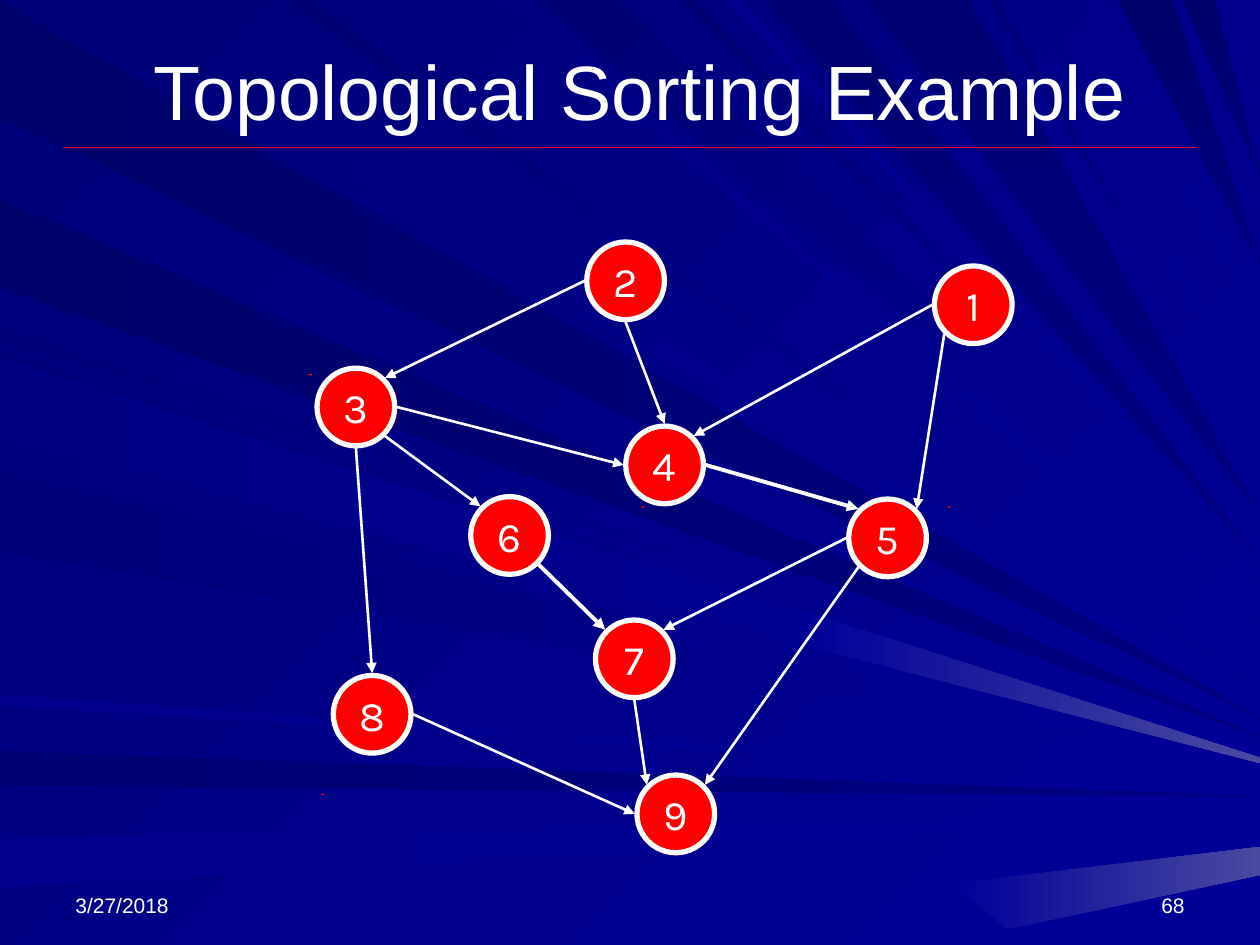
from math import cos, radians, sin

from lxml.etree import SubElement
from pptx import Presentation
from pptx.dml.color import RGBColor
from pptx.enum.shapes import MSO_CONNECTOR, MSO_SHAPE
from pptx.enum.text import MSO_ANCHOR, PP_ALIGN
from pptx.oxml.ns import qn
from pptx.util import Pt

COLORS = {"white": "FFFFFF", "node": "FF0000", "rule": "EF0129",
          "night": "00006B", "deep": "000073", "dark": "000078", "navy": "000080",
          "mid": "000085", "soft": "00008C", "blue": "000099", "haze": "4A4AA1"}


def write(box, text, size, font="Arial", align=PP_ALIGN.LEFT, anchor=MSO_ANCHOR.MIDDLE, wrap=True):
    frame = box.text_frame
    frame.word_wrap = wrap
    frame.vertical_anchor = anchor
    para = frame.paragraphs[0]
    para.alignment = align
    span = para.add_run()
    span.text = text
    span.font.size = Pt(size)
    span.font.name = font
    span.font.color.rgb = RGBColor.from_string(COLORS["white"])


def shade(fill, start, end, angle=0):
    fill.gradient()
    fill.gradient_angle = (360 - angle) % 360
    for stop, color in zip(fill.gradient_stops, (start, end)):
        stop.color.rgb = RGBColor.from_string(COLORS[color])


deck = Presentation()
WIDE, HIGH = 720, 540
deck.slide_width, deck.slide_height = Pt(WIDE), Pt(HIGH)
page = deck.slides.add_slide(deck.slide_layouts[6])
shapes = page.shapes
shade(page.background.fill, "dark", "blue", 45)

# Background rays: each spans two places on one edge and narrows to a tip on the right edge
rays = [
    ("left", 1, 67, 410, "night", "navy"),
    ("top", 19, 73, 405, "dark", "blue"),
    ("left", 429, 449, 455, "deep", "navy"),
    ("left", 479, 507, 466, "soft", "blue"),
    ("left", 186, 194, 424, "dark", "blue"),
    ("left", 114, 164, 421, "night", "navy"),
    ("top", 287, 300, 373, "mid", "blue"),
    ("top", 307, 354, 355, "deep", "blue"),
    ("top", 389, 397, 333, "deep", "blue"),
    ("top", 436, 476, 321, "deep", "navy"),
    ("top", 639, 670, 152, "night", "navy"),
    ("top", 676, 694, 101, "night", "navy"),
    ("left", 200, 246, 431, "dark", "blue"),
    ("left", 269, 315, 436, "dark", "blue"),
    ("left", 397, 403, 448, "soft", "blue"),
    ("top", 162, 178, 396, "deep", "blue"),
    ("top", 415, 423, 327, "soft", "blue"),
    ("top", 494, 554, 295, "deep", "navy"),
    ("top", 565, 570, 257, "dark", "blue"),
    ("top", 587, 593, 242, "mid", "blue"),
    ("top", 623, 628, 183, "soft", "blue"),
    ("left", 204, 250, 435, "mid", "blue"),
]
patches = []
for edge, near, far, tip, start, end in rays:
    if edge == "left":
        patches.append(([(0, near), (0, far), (WIDE, tip)], start, end, 0))
    else:
        angle = 90 if end == "navy" else 45
        patches.append(([(near, 0), (far, 0), (WIDE, tip)], start, end, angle))

# Two lighter glints at the lower right
patches.append(([(459, 349), (456, 368), (WIDE, 436), (WIDE, 433)], "blue", "haze", 0))
patches.append(([(544, 505), (576, 531), (WIDE, 500), (WIDE, 484)], "blue", "haze", 0))

for corners, start, end, angle in patches:
    points = [(Pt(x), Pt(y)) for x, y in corners]
    builder = shapes.build_freeform(*points[0])
    builder.add_line_segments(points[1:], close=True)
    patch = builder.convert_to_shape()
    patch.shadow.inherit = False
    patch.line.fill.background()
    shade(patch.fill, start, end, angle)

# Title, date and page number
labels = [
    ("Topological Sorting Example ", 44, PP_ALIGN.CENTER, MSO_ANCHOR.MIDDLE, (48, 6, 648, 90)),
    ("3/27/2018", 12, PP_ALIGN.LEFT, MSO_ANCHOR.BOTTOM, (36, 492, 168, 36)),
    ("68", 12, PP_ALIGN.RIGHT, MSO_ANCHOR.BOTTOM, (516, 492, 168, 36)),
]
for text, size, align, anchor, place in labels:
    box = shapes.add_textbox(*map(Pt, place))
    write(box, text, size, align=align, anchor=anchor)

# Small red marks
for left, top in [(176.4, 213.8), (366.5, 289.4), (541.4, 289.4), (183.6, 453.6)]:
    mark = shapes.add_shape(MSO_SHAPE.RECTANGLE, Pt(left), Pt(top), Pt(1.8), Pt(0.7))
    mark.shadow.inherit = False
    mark.line.fill.background()
    mark.fill.solid()
    mark.fill.fore_color.rgb = RGBColor.from_string(COLORS["node"])

# Graph nodes: number and centre
SIZE = 44.4
nodes = {"2": (357.5, 160.5), "7": (362.5, 376.5), "4": (379.8, 265.7),
         "8": (212.7, 408.2), "5": (507.2, 307.4), "6": (291.2, 306),
         "1": (556.2, 174.2), "3": (203.4, 232.6), "9": (386.2, 465.1)}
for number, (x, y) in nodes.items():
    node = shapes.add_shape(MSO_SHAPE.OVAL, Pt(x - SIZE / 2), Pt(y - SIZE / 2), Pt(SIZE), Pt(SIZE))
    node.shadow.inherit = False
    node.fill.solid()
    node.fill.fore_color.rgb = RGBColor.from_string(COLORS["node"])
    node.line.color.rgb = RGBColor.from_string(COLORS["white"])
    node.line.width = Pt(3)
    write(node, number, 24, font="Karla", align=PP_ALIGN.CENTER, wrap=False)

# Edges leave and enter just outside the circles, at one of eight compass points
REACH = 23.5
compass = ["E", "SE", "S", "SW", "W", "NW", "N", "NE"]
edges = ["2 W 3 NE", "2 S 4 N", "1 W 4 NE", "5 W 7 NE", "5 SW 9 NE", "8 E 9 W", "7 S 9 NW",
         "6 SE 7 NW", "3 SE 6 NW", "3 S 8 N", "3 E 4 W", "4 E 5 NW", "1 SW 5 NE"]
bold_edges = {"6 SE 7 NW", "4 E 5 NW"}
lines = [([36, 84.2, 684, 84.2], "rule", 0.75)]
for edge in edges:
    source, leaving, target, entering = edge.split()
    ends = []
    for number, side in ((source, leaving), (target, entering)):
        x, y = nodes[number]
        turn = radians(45 * compass.index(side))
        ends += [x + REACH * cos(turn), y + REACH * sin(turn)]
    lines.append((ends, "white", 2.25 if edge in bold_edges else 1.5))

# Title rule and arrows
for ends, color, width in lines:
    line = shapes.add_connector(MSO_CONNECTOR.STRAIGHT, *map(Pt, ends))
    line.line.color.rgb = RGBColor.from_string(COLORS[color])
    line.line.width = Pt(width)
    properties = line._element.spPr
    if color == "white":
        SubElement(properties.find(qn("a:ln")), qn("a:tailEnd"), type="triangle")
    SubElement(properties, qn("a:effectLst"))

deck.save("out.pptx")
